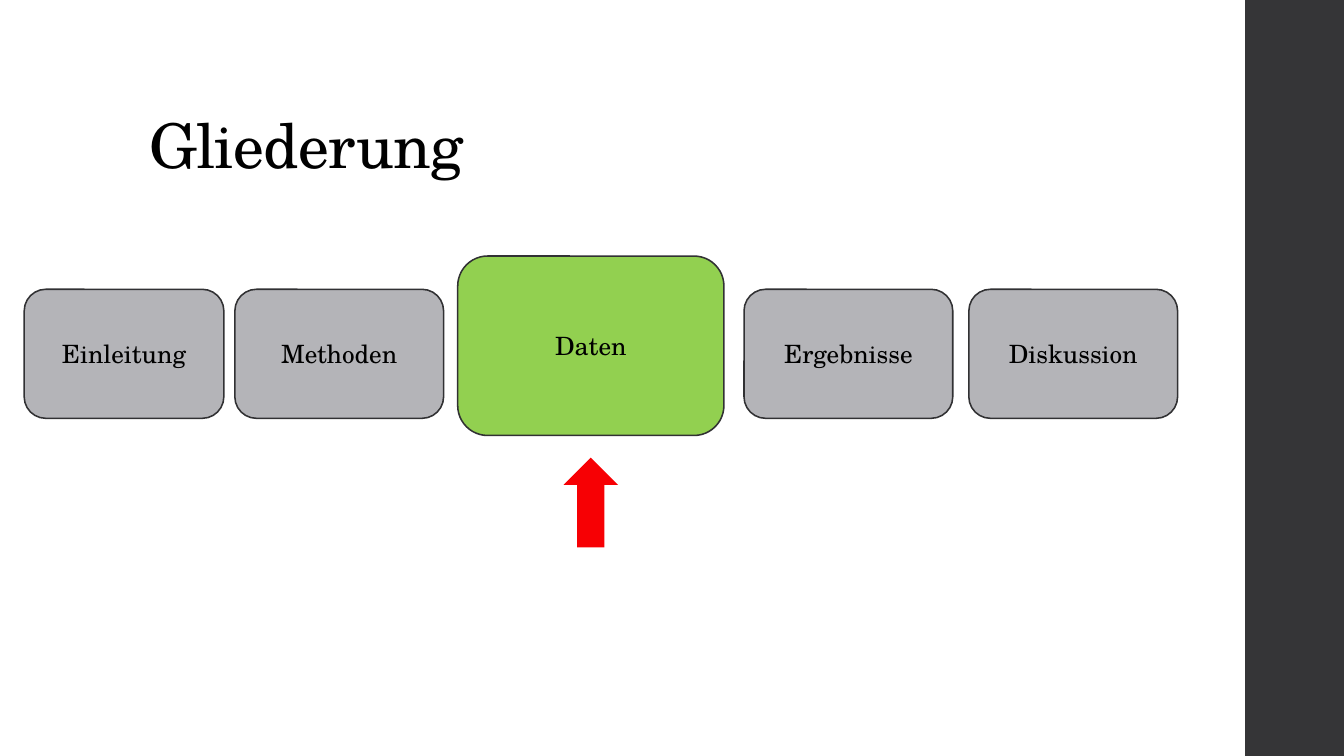
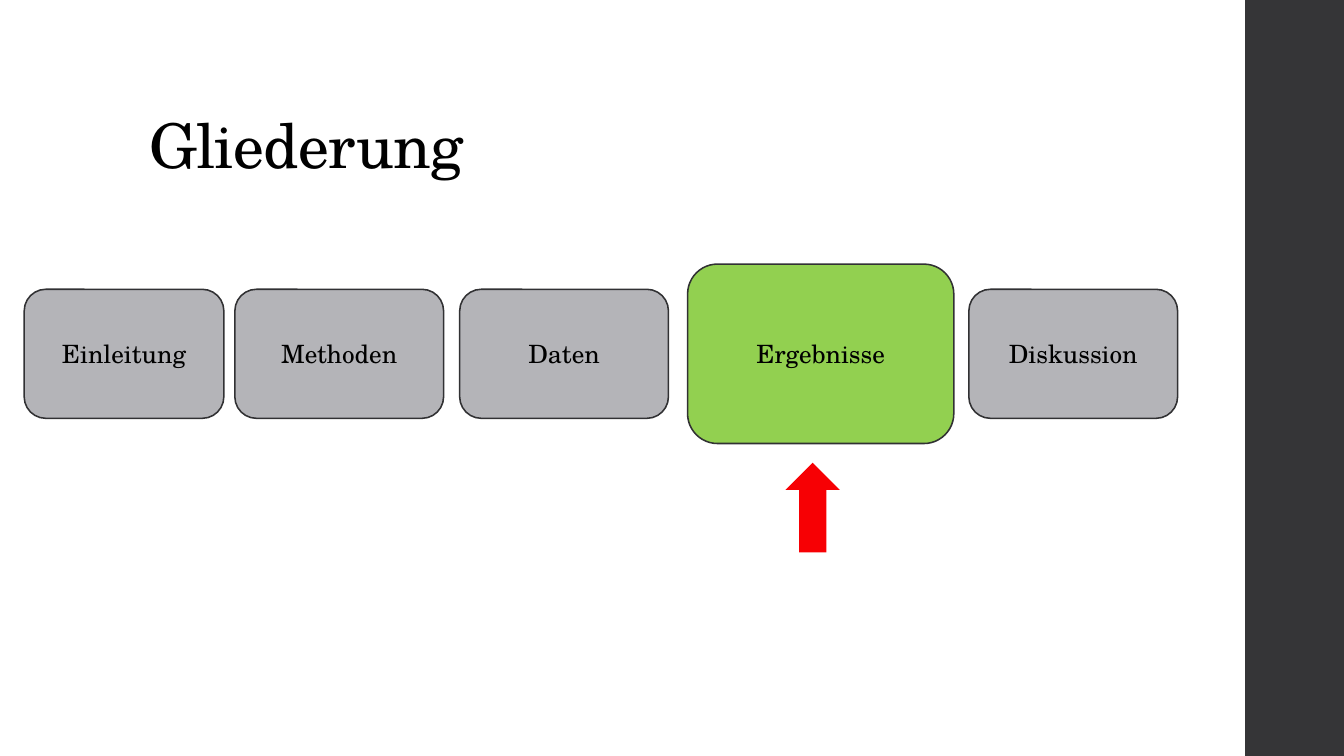
from dataclasses import dataclass

from pptx import Presentation
from pptx.dml.color import RGBColor
from pptx.enum.shapes import MSO_SHAPE as Shape
from pptx.enum.text import MSO_ANCHOR as Anchor, PP_ALIGN as Align
from pptx.util import Inches, Pt


@dataclass(frozen=True)
class Theme:
    font: str = "TeX Gyre Schola"
    text: str = "000000"
    band: str = "353537"
    box: str = "B4B4B8"
    active_box: str = "92D050"
    outline: str = "313133"
    arrow: str = "F70004"
    title_size: float = 44
    box_size: float = 18
    line_width: float = 1.1


SLIDE_WIDTH, SLIDE_HEIGHT = 13.33, 7.5
BAND_LEFT = 12.35

# Outline topics: name, left, width
TOPICS = [
    ("Einleitung", 0.24, 1.98),
    ("Methoden", 2.33, 2.07),
    ("Daten", 4.56, 2.07),
    ("Ergebnisse", 7.38, 2.07),
    ("Diskussion", 9.61, 2.07),
]
BOX_TOP, BOX_HEIGHT = 2.87, 1.28
ACTIVE_WIDTH, ACTIVE_HEIGHT = 2.64, 1.78
ARROW_WIDTH, ARROW_HEIGHT = 0.54, 0.89

# One slide each: active topic, its left and top, arrow left and top
STEPS = [
    ("Daten", (4.54, 2.54), (5.59, 4.54)),
    ("Ergebnisse", (6.82, 2.62), (7.79, 4.59)),
]


class Deck:
    def __init__(self, theme):
        self.theme = theme
        self.presentation = Presentation()
        self.presentation.slide_width = Inches(SLIDE_WIDTH)
        self.presentation.slide_height = Inches(SLIDE_HEIGHT)
        self.slide = None

    def new_slide(self, title):
        """Start a slide with the side band and the title."""
        blank = self.presentation.slide_layouts[6]
        self.slide = self.presentation.slides.add_slide(blank)
        self.add_shape(Shape.RECTANGLE, BAND_LEFT, 0,
                       SLIDE_WIDTH - BAND_LEFT, SLIDE_HEIGHT, self.theme.band)
        self.add_title(title)

    def add_title(self, text):
        title = self.slide.shapes.add_textbox(
            Inches(1.38), Inches(0.4), Inches(10.6), Inches(1.45))
        self.set_text(title, text, self.theme.title_size, Align.LEFT, Anchor.BOTTOM)
        paragraph = title.text_frame.paragraphs[0]
        paragraph.line_spacing = 0.9
        # Slightly tightened letter spacing, in hundredths of a point
        paragraph.runs[0].font._element.set("spc", "-50")

    def add_shape(self, kind, left, top, width, height, fill):
        shape = self.slide.shapes.add_shape(
            kind, Inches(left), Inches(top), Inches(width), Inches(height))
        shape.shadow.inherit = False
        shape.fill.solid()
        shape.fill.fore_color.rgb = RGBColor.from_string(fill)
        shape.line.fill.background()
        return shape

    def add_box(self, text, left, top, width, height, fill):
        box = self.add_shape(Shape.ROUNDED_RECTANGLE, left, top, width, height, fill)
        box.line.color.rgb = RGBColor.from_string(self.theme.outline)
        box.line.width = Pt(self.theme.line_width)
        self.set_text(box, text, self.theme.box_size, Align.CENTER, Anchor.MIDDLE)

    def add_arrow(self, left, top):
        self.add_shape(Shape.UP_ARROW, left, top,
                       ARROW_WIDTH, ARROW_HEIGHT, self.theme.arrow)

    def set_text(self, shape, text, size, alignment, anchor):
        frame = shape.text_frame
        frame.text = text
        frame.word_wrap = True
        frame.vertical_anchor = anchor
        paragraph = frame.paragraphs[0]
        paragraph.alignment = alignment
        font = paragraph.runs[0].font
        font.name = self.theme.font
        font.size = Pt(size)
        font.color.rgb = RGBColor.from_string(self.theme.text)

    def add_outline(self, active, active_position):
        """Draw the row of topics with the active one enlarged."""
        for name, left, width in TOPICS:
            if name == active:
                self.add_box(name, *active_position, ACTIVE_WIDTH, ACTIVE_HEIGHT,
                             self.theme.active_box)
            else:
                self.add_box(name, left, BOX_TOP, width, BOX_HEIGHT, self.theme.box)


def main():
    deck = Deck(Theme())
    for active, active_position, arrow_position in STEPS:
        deck.new_slide("Gliederung")
        deck.add_outline(active, active_position)
        deck.add_arrow(*arrow_position)
    deck.presentation.save("out.pptx")


if __name__ == "__main__":
    main()
